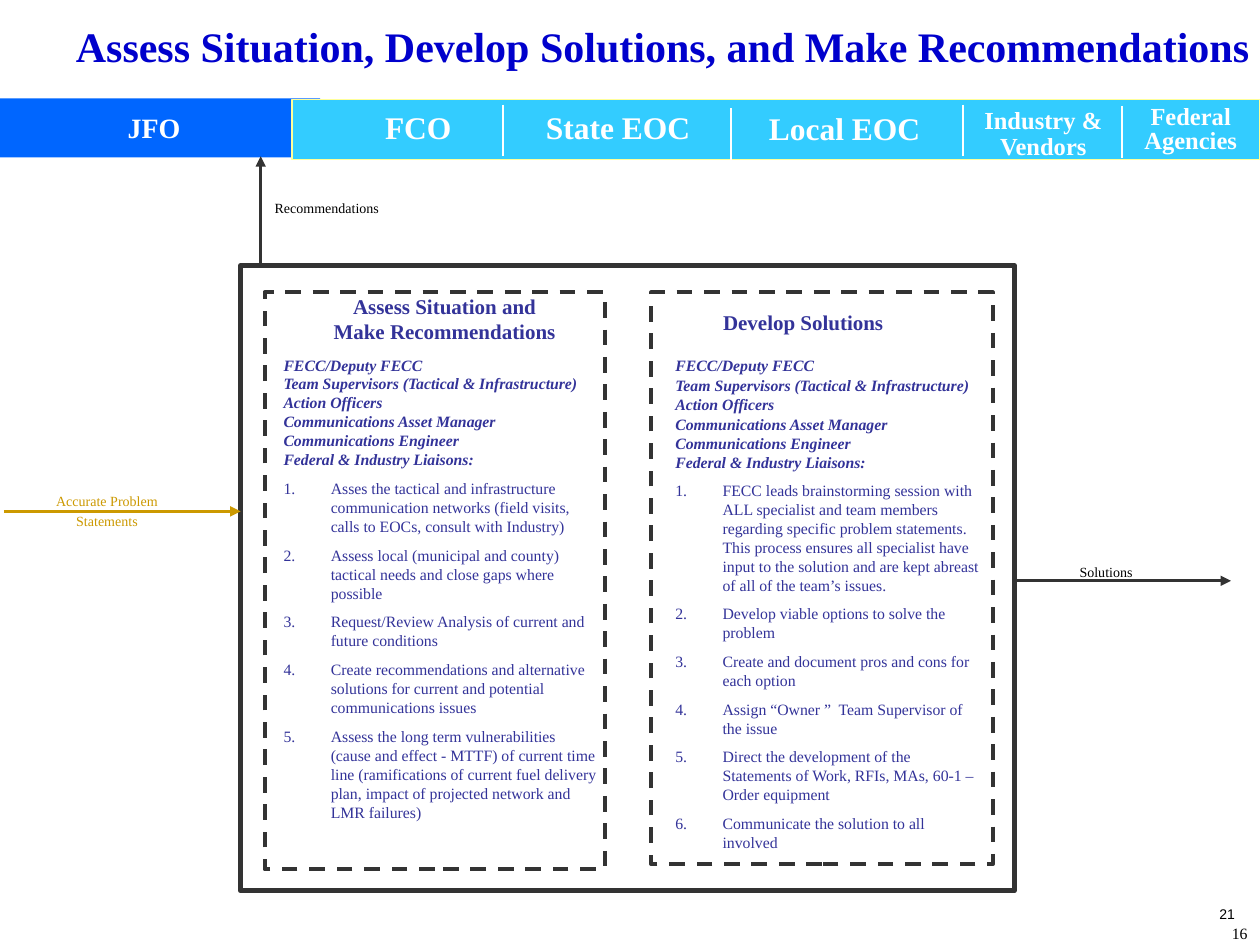
from dataclasses import dataclass

from lxml import etree
from pptx import Presentation
from pptx.dml.color import RGBColor
from pptx.enum.dml import MSO_LINE
from pptx.enum.shapes import MSO_CONNECTOR, MSO_SHAPE
from pptx.enum.text import MSO_ANCHOR, MSO_AUTO_SIZE, PP_ALIGN
from pptx.oxml.ns import qn
from pptx.util import Pt

RECT = MSO_SHAPE.RECTANGLE
LINE = MSO_CONNECTOR.STRAIGHT
DASH = MSO_LINE.DASH
LEFT, MID, RIGHT = PP_ALIGN.LEFT, PP_ALIGN.CENTER, PP_ALIGN.RIGHT


@dataclass(frozen=True)
class Theme:
    """Colours, fonts and type sizes of the slide."""
    serif: str = "Times New Roman"
    sans: str = "Arial"
    title: str = "0000CC"
    ink: str = "333399"
    edge: str = "333333"
    gold: str = "CC9900"
    black: str = "000000"
    white: str = "FFFFFF"
    blue: str = "0066FF"
    sky: str = "33CCFF"
    cream: str = "FFFF99"
    huge: int = 24
    large: int = 18
    lead: int = 16
    mid: int = 14
    head: int = 12
    body: int = 9
    note: int = 8


T = Theme()

ROLES = [
    "FECC/Deputy FECC",
    "Team Supervisors (Tactical & Infrastructure)",
    "Action Officers",
    "Communications Asset Manager",
    "Communications Engineer",
    "Federal & Industry Liaisons:",
]
ASSESS = [
    "Asses the tactical and infrastructure communication networks "
    "(field visits, calls to EOCs, consult with Industry)",
    "Assess local (municipal and county) tactical needs and close gaps "
    "where possible",
    "Request/Review Analysis of current and future conditions",
    "Create recommendations and alternative solutions for current and "
    "potential communications issues",
    "Assess the long term vulnerabilities (cause and effect - MTTF) of "
    "current time line (ramifications of current fuel delivery plan, impact "
    "of projected network and LMR failures)",
]
SOLVE = [
    "FECC leads brainstorming session with ALL specialist and team members "
    "regarding specific problem statements. This process ensures all "
    "specialist have input to the solution and are kept abreast of all of "
    "the team’s issues.",
    "Develop viable options to solve the problem",
    "Create and document pros and cons for each option",
    "Assign “Owner ”  Team Supervisor of the issue",
    "Direct the development of the Statements of Work, RFIs, MAs, 60-1 – "
    "Order equipment",
    "Communicate the solution to all involved",
]


def tint(code):
    """Turn a hex code into a colour."""
    return RGBColor.from_string(code)


def apply(item, form):
    """Set attributes from a dict of format values."""
    for key, val in form.items():
        setattr(item, key, val)


def write(para, text, size, color, bold=False, italic=False, face=T.serif):
    """Put one formatted run into a paragraph."""
    run = para.add_run()
    run.text = text
    apply(run.font, dict(name=face, size=Pt(size), bold=bold, italic=italic))
    run.font.color.rgb = tint(color)


def setup(frame):
    """Give a text frame its margins, wrap and anchor."""
    apply(frame, dict(
        word_wrap=True, auto_size=MSO_AUTO_SIZE.NONE,
        vertical_anchor=MSO_ANCHOR.TOP,
        margin_left=Pt(7.2), margin_right=Pt(7.2),
        margin_top=Pt(3.6), margin_bottom=Pt(3.6)))


def label(slide, box, text, size, color, align=MID, space=1.0, **form):
    """Add a text box with one paragraph."""
    frame = slide.shapes.add_textbox(*map(Pt, box)).text_frame
    setup(frame)
    para = frame.paragraphs[0]
    apply(para, dict(alignment=align, line_spacing=space))
    write(para, text, size, color, **form)


def place(hold, box):
    """Move a placeholder to its box, in front of earlier shapes."""
    apply(hold, dict(zip(("left", "top", "width", "height"), map(Pt, box))))
    hold.element.getparent().append(hold.element)
    setup(hold.text_frame)


def block(slide, box, fill=None, edge=None, width=1, dash=None):
    """Add a rectangle."""
    shape = slide.shapes.add_shape(RECT, *map(Pt, box))
    shape.shadow.inherit = False
    if fill:
        shape.fill.solid()
        shape.fill.fore_color.rgb = tint(fill)
    else:
        shape.fill.background()
    if edge:
        shape.line.color.rgb = tint(edge)
        apply(shape.line, dict(width=Pt(width), dash_style=dash))
    else:
        shape.line.fill.background()


def rule(slide, ends, color, width, arrow=False):
    """Add a straight line, with an arrowhead at its end if asked."""
    line = slide.shapes.add_connector(LINE, *map(Pt, ends))
    line.line.color.rgb = tint(color)
    line.line.width = Pt(width)
    prop = line.element.spPr
    if arrow:
        etree.SubElement(prop.find(qn("a:ln")), qn("a:tailEnd"),
                         type="triangle")
    etree.SubElement(prop, qn("a:effectLst"))


def mark(para, number):
    """Set the hanging indent and the numbering of a paragraph."""
    prop = para._p.get_or_add_pPr()
    prop.set("marL", str(Pt(27)))
    prop.set("indent", str(-Pt(27)))
    if number:
        color = etree.SubElement(prop, qn("a:buClr"))
        etree.SubElement(color, qn("a:srgbClr"), val=T.ink)
        etree.SubElement(prop, qn("a:buFont"), typeface=T.serif)
        etree.SubElement(prop, qn("a:buAutoNum"), type="arabicPeriod")
    else:
        etree.SubElement(prop, qn("a:buNone"))


def steps(hold, box, items, space, gap):
    """Fill a body placeholder with the roles and numbered steps."""
    place(hold, box)
    frame = hold.text_frame
    for pos, text in enumerate(ROLES + items):
        para = frame.add_paragraph() if pos else frame.paragraphs[0]
        role = pos < len(ROLES)
        mark(para, not role)
        apply(para, dict(
            alignment=LEFT,
            line_spacing=space if role and pos else 1.0,
            space_before=Pt((gap if role else 5.6) if pos else 0)))
        write(para, text, T.body, T.ink, bold=role, italic=role)


def banner(slide):
    """Draw the bar of agencies."""
    block(slide, (0, 56.2, 183, 33.8), T.blue)
    label(slide, (0, 61.9, 180, 24.5), "JFO ", T.lead, T.white,
          space=0.9, bold=True)
    block(slide, (167, 56.9, 553, 34.3), T.sky, T.cream)
    for x, y in ((287.3, 59.8), (417.6, 61.9), (550.4, 59.8), (641.2, 60.5)):
        rule(slide, (x, y, x, y + 29.5), T.white, 1)
    for box, text, size, space in (
            ((205.9, 58.3, 66.2, 28.8), "FCO", T.large, 1.0),
            ((287.3, 58.3, 131.8, 28.8), "State EOC", T.large, 1.0),
            ((429.8, 59, 105.8, 28.8), "Local EOC", T.large, 1.0),
            ((542.2, 58.3, 108, 37.4), "Industry & Vendors", T.mid, 0.9),
            ((628.6, 57.6, 103.7, 34.6), "Federal Agencies", T.mid, 0.8)):
        label(slide, box, text, size, T.white, space=space, bold=True)


def main():
    """Build and save the slide."""
    deck = Presentation()
    deck.slide_width, deck.slide_height = Pt(720), Pt(540)
    slide = deck.slides.add_slide(deck.slide_layouts[3])
    title, left, right = slide.placeholders

    block(slide, (137.5, 151.9, 442.1, 357.1), T.white, T.edge, 3)
    block(slide, (151.2, 167, 194.4, 329.8), None, T.edge, 2.25, DASH)
    block(slide, (372.2, 167, 195.1, 326.9), None, T.edge, 2.25, DASH)

    place(title, (18.7, 7.9, 720, 36))
    para = title.text_frame.paragraphs[0]
    para.alignment = MID
    write(para, "Assess Situation, Develop Solutions, and Make "
          "Recommendations", T.huge, T.title, bold=True)

    label(slide, (181.4, 164.2, 145.4, 36),
          "Assess Situation and Make Recommendations", T.head, T.ink,
          bold=True)
    label(slide, (399.6, 173.5, 118.8, 21.6), "Develop Solutions",
          T.head, T.ink, bold=True)
    steps(left, (154.8, 199.4, 194.4, 273.6), ASSESS, 1.0, 0)
    steps(right, (378.7, 199.4, 187.9, 290.9), SOLVE, 0.5, 5.6)

    banner(slide)
    rule(slide, (2.2, 292.2, 137.5, 292.2), T.gold, 1.5, True)
    rule(slide, (149, 151.9, 149, 89.3), T.edge, 1.5, True)
    rule(slide, (579.6, 331.9, 703.4, 331.9), T.edge, 1.5, True)
    label(slide, (149.8, 109.4, 122.4, 18), "Recommendations",
          T.note, T.black, LEFT, 1.1)
    label(slide, (609.8, 315.4, 66.2, 20.2), "Solutions",
          T.note, T.black, LEFT, 1.3)
    label(slide, (18, 275.8, 86.4, 30.2), "Accurate Problem Statements",
          T.note, T.gold, space=1.2)
    label(slide, (665.3, 524.2, 54.7, 18), "16", T.body, T.black, RIGHT)
    label(slide, (655.2, 514.1, 57.6, 23), "21", T.note, T.black, RIGHT,
          face=T.sans)
    deck.save("out.pptx")


if __name__ == "__main__":
    main()
